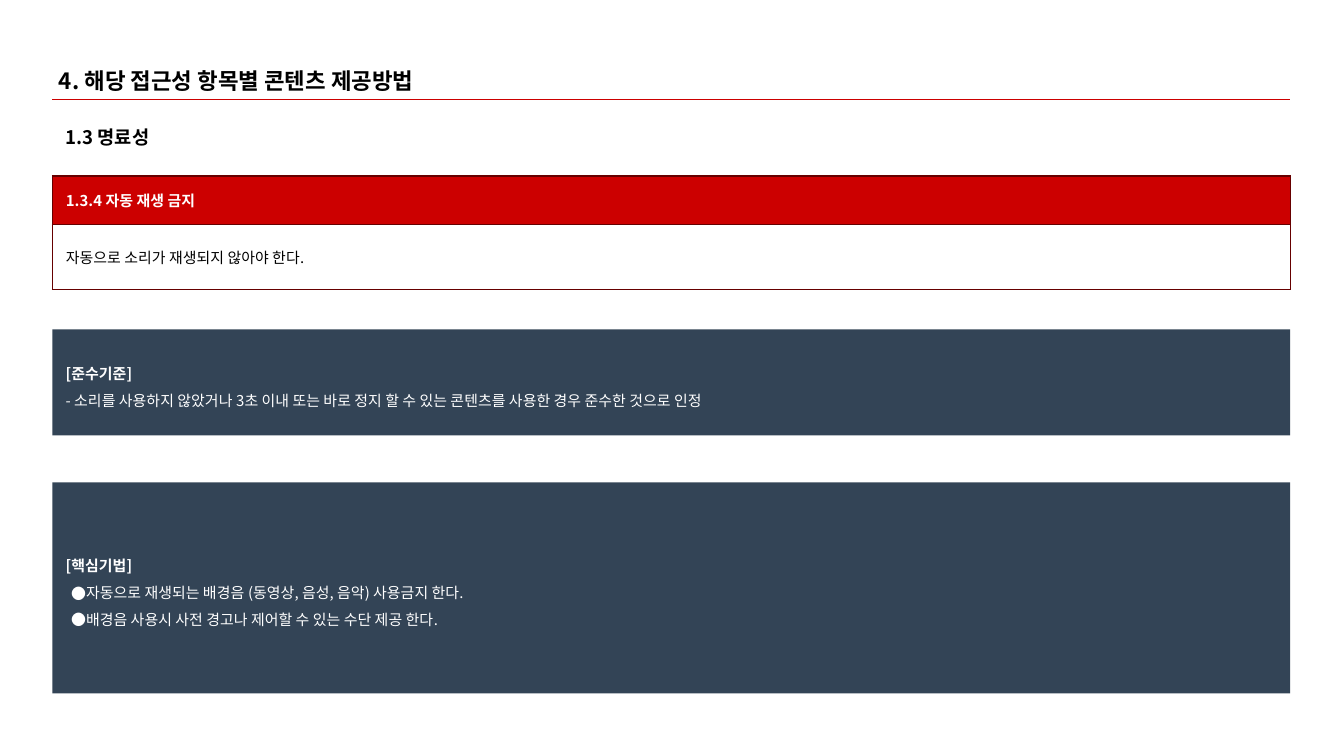
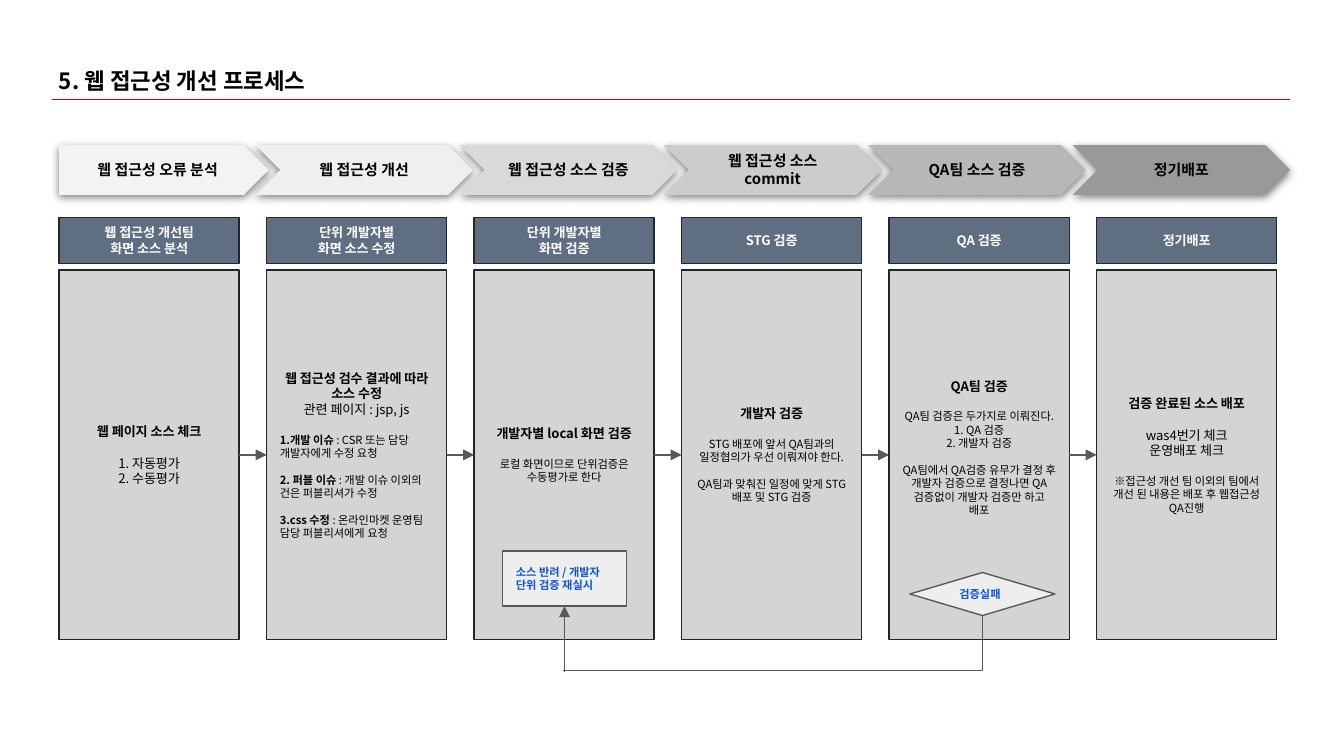
from dataclasses import dataclass

from lxml import etree
from pptx import Presentation
from pptx.dml.color import RGBColor
from pptx.enum.shapes import MSO_CONNECTOR, MSO_SHAPE
from pptx.enum.text import MSO_ANCHOR, MSO_AUTO_SIZE, PP_ALIGN
from pptx.oxml.ns import qn
from pptx.util import Inches, Pt

RECTANGLE, PENTAGON, CHEVRON = MSO_SHAPE.RECTANGLE, MSO_SHAPE.PENTAGON, MSO_SHAPE.CHEVRON
DECISION, PROCESS = MSO_SHAPE.FLOWCHART_DECISION, MSO_SHAPE.FLOWCHART_PROCESS
STRAIGHT, ELBOW = MSO_CONNECTOR.STRAIGHT, MSO_CONNECTOR.ELBOW
LEFT, CENTER = PP_ALIGN.LEFT, PP_ALIGN.CENTER
TOP, MIDDLE = MSO_ANCHOR.TOP, MSO_ANCHOR.MIDDLE
NO_AUTOFIT = MSO_AUTO_SIZE.NONE

FONT = "Noto Sans CJK KR"
BLACK, WHITE, RED, DARK_RED = "000000", "FFFFFF", "CC0000", "660000"
NAVY, SLATE, INK = "334456", "606E81", "21262D"
PANEL_GRAY, NOTE_GRAY, LINE_GRAY, BLUE = "D4D4D4", "EEEEEE", "595959", "1155CC"

MARGIN, CONTENT_WIDTH = 0.39, 9.21
INSET, LINE_WIDTH = Inches(0.1), Pt(0.75)
GAP, SMALL_GAP = 8.5, 7
COLUMN_LEFT, COLUMN_RIGHT, COLUMN_WIDTH = 0.44, 8.16, 1.34
STEP_PITCH, STEP_WIDTH, LAST_STEP_LEFT = 1.52, 1.62, 7.98


@dataclass(frozen=True)
class Box:
    left: float
    top: float
    width: float
    height: float

    def lengths(self):
        return [Inches(value) for value in (self.left, self.top, self.width, self.height)]


@dataclass(frozen=True)
class Line:
    text: str
    bold: bool = False
    lead: str = ""
    size: float | None = None
    before: float = 0
    align: PP_ALIGN | None = None
    bullet: bool = False


@dataclass(frozen=True)
class Stage:
    step: str
    fill: str
    owner: list[str]
    details: list[Line]
    bottom_inset: float = 0.1


def issue(lead: str, text: str, before: float = SMALL_GAP) -> Line:
    return Line(text, lead=lead, size=6, before=before, align=LEFT)


STAGES = [
    Stage("웹 접근성 오류 분석", "F3F3F3", ["웹 접근성 개선팀", "화면 소스 분석"], [
        Line("웹 페이지 소스 체크", bold=True),
        Line("1. 자동평가", before=GAP),
        Line("2. 수동평가")]),
    Stage("웹 접근성 개선", "EFEFEF", ["단위 개발자별", "화면 소스 수정"], [
        Line("웹 접근성 검수 결과에 따라 소스 수정", bold=True),
        Line("관련 페이지 : jsp, js"),
        issue("1.개발 이슈", " : CSR 또는 담당 개발자에게 수정 요청", GAP),
        issue("2. 퍼블 이슈", " : 개발 이슈 이외의 건은 퍼블리셔가 수정"),
        issue("3.css 수정", " : 온라인마켓 운영팀 담당 퍼블리셔에게 요청")]),
    Stage("웹 접근성 소스 검증", "D9D9D9", ["단위 개발자별", "화면 검증"], [
        Line("개발자별 local 화면 검증", bold=True),
        Line("로컬 화면이므로 단위검증은 수동평가로 한다", size=6, before=GAP)]),
    Stage("웹 접근성 소스 commit", "CCCCCC", ["STG 검증"], [
        Line("개발자 검증", bold=True),
        Line("STG 배포에 앞서 QA팀과의 일정협의가 우선 이뤄져야 한다.", size=6, before=GAP),
        Line("QA팀과 맞춰진 일정에 맞게 STG 배포 및 STG 검증", size=6, before=SMALL_GAP)]),
    Stage("QA팀 소스 검증", "B7B7B7", ["QA 검증"], [
        Line("QA팀 검증", bold=True),
        Line("QA팀 검증은 두가지로 이뤄진다.", size=6, before=GAP),
        Line("1. QA 검증", size=6),
        Line("2. 개발자 검증", size=6),
        Line("QA팀에서 QA검증 유무가 결정 후 개발자 검증으로 결정나면 "
             "QA검증없이 개발자 검증만 하고 배포", size=6, before=SMALL_GAP)], 0.21),
    Stage("정기배포", "999999", ["정기배포"], [
        Line("검증 완료된 소스 배포", bold=True),
        Line("was4번기 체크", before=GAP),
        Line("운영배포 체크"),
        Line("※접근성 개선 팀 이외의 팀에서 개선 된 내용은 배포 후 웹접근성 QA진행",
             size=6, before=GAP)]),
]
COLUMN_PITCH = (COLUMN_RIGHT - COLUMN_LEFT) / (len(STAGES) - 1)


def color(value: str) -> RGBColor:
    return RGBColor.from_string(value)


def add_run(paragraph, text: str, size: float, bold: bool, text_color: str) -> None:
    run = paragraph.add_run()
    run.text = text
    run.font.size = Pt(size)
    run.font.bold = bold
    run.font.color.rgb = color(text_color)
    run.font.name = FONT
    properties = run.font._element
    properties.set("kern", "0")
    etree.SubElement(properties, qn("a:ea")).set("typeface", FONT)


def add_bullet(paragraph, bullet_color: str) -> None:
    properties = paragraph._p.get_or_add_pPr()
    properties.set("marL", str(Inches(0.15)))
    properties.set("indent", str(Inches(-0.11)))
    shade = etree.SubElement(properties, qn("a:buClr"))
    etree.SubElement(shade, qn("a:srgbClr"), val=bullet_color)
    etree.SubElement(properties, qn("a:buFont"), typeface=FONT)
    etree.SubElement(properties, qn("a:buChar"), char="●")


def write_text(frame, lines: list[Line], *, size: float, text_color: str = BLACK,
               align: PP_ALIGN = LEFT, spacing: float = 1.0) -> None:
    for index, line in enumerate(lines):
        paragraph = frame.paragraphs[0] if index == 0 else frame.add_paragraph()
        if line.bullet:
            add_bullet(paragraph, text_color)
        paragraph.alignment = align if line.align is None else line.align
        paragraph.line_spacing = spacing
        if line.before:
            paragraph.space_before = Pt(line.before)
        if line.lead:
            add_run(paragraph, line.lead, line.size or size, True, text_color)
        add_run(paragraph, line.text, line.size or size, line.bold, text_color)


def prepare_frame(frame, anchor: MSO_ANCHOR, bottom_inset: float = 0.1) -> None:
    frame.word_wrap = True
    frame.auto_size = NO_AUTOFIT
    frame.vertical_anchor = anchor
    frame.margin_left = frame.margin_right = frame.margin_top = INSET
    frame.margin_bottom = Inches(bottom_inset)


def add_label(slide, box: Box, text: str, size: float) -> None:
    frame = slide.shapes.add_textbox(*box.lengths()).text_frame
    prepare_frame(frame, TOP)
    write_text(frame, [Line(text, bold=True)], size=size)


def add_block(slide, kind: MSO_SHAPE, box: Box, fill: str, lines: list[Line], *,
              outline: str | None = None, bottom_inset: float = 0.1, **text_format):
    shape = slide.shapes.add_shape(kind, *box.lengths())
    shape.shadow.inherit = False
    shape.fill.solid()
    shape.fill.fore_color.rgb = color(fill)
    if outline:
        shape.line.color.rgb = color(outline)
        shape.line.width = LINE_WIDTH
    else:
        shape.line.fill.background()
    prepare_frame(shape.text_frame, MIDDLE, bottom_inset)
    write_text(shape.text_frame, lines, **text_format)
    return shape


def add_shadow(shape) -> None:
    effects = shape._element.spPr.find(qn("a:effectLst"))
    shadow = etree.SubElement(effects, qn("a:outerShdw"), blurRad=str(Pt(4.5)),
                              dist=str(Pt(1.5)), dir="5400000", algn="bl", rotWithShape="0")
    shade = etree.SubElement(shadow, qn("a:srgbClr"), val=BLACK)
    etree.SubElement(shade, qn("a:alpha"), val="50000")


def add_line(slide, start: tuple[float, float], end: tuple[float, float], line_color: str, *,
             kind: MSO_CONNECTOR = STRAIGHT, arrow: bool = False):
    ends = [Inches(value) for value in (*start, *end)]
    connector = slide.shapes.add_connector(kind, *ends)
    connector.line.color.rgb = color(line_color)
    connector.line.width = LINE_WIDTH
    element = connector._element
    if arrow:
        etree.SubElement(element.spPr.find(qn("a:ln")), qn("a:tailEnd"), type="triangle")
    etree.SubElement(element.spPr, qn("a:effectLst"))
    element.remove(element.find(qn("p:style")))
    return connector


def add_titled_slide(presentation, title: str):
    slide = presentation.slides.add_slide(presentation.slide_layouts[6])
    add_label(slide, Box(0.34, 0.4, 9.32, 0.37), title, 12)
    add_line(slide, (MARGIN, 0.74), (MARGIN + CONTENT_WIDTH, 0.74), RED)
    return slide


def set_borders(cell, border_color: str) -> None:
    for side in ("lnL", "lnR", "lnT", "lnB"):
        border = etree.SubElement(cell._tc.get_or_add_tcPr(), qn(f"a:{side}"), w=str(LINE_WIDTH))
        fill = etree.SubElement(border, qn("a:solidFill"))
        etree.SubElement(fill, qn("a:srgbClr"), val=border_color)


def add_rule_table(slide, heading: str, rule: str) -> None:
    rows = [(0.31, Line(heading, bold=True), WHITE, RED), (0.48, Line(rule), BLACK, None)]
    box = Box(MARGIN, 1.31, CONTENT_WIDTH, 0.79)
    table = slide.shapes.add_table(len(rows), 1, *box.lengths()).table
    table.first_row = table.horz_banding = False
    for index, (height, line, text_color, fill) in enumerate(rows):
        table.rows[index].height = Inches(height)
        cell = table.cell(index, 0)
        cell.margin_left = cell.margin_right = cell.margin_top = cell.margin_bottom = INSET
        cell.vertical_anchor = MIDDLE
        set_borders(cell, DARK_RED)
        if fill:
            cell.fill.solid()
            cell.fill.fore_color.rgb = color(fill)
        else:
            cell.fill.background()
        write_text(cell.text_frame, [line], size=8, text_color=text_color)


def build_guideline_slide(presentation) -> None:
    slide = add_titled_slide(presentation, "4. 해당 접근성 항목별 콘텐츠 제공방법")
    add_label(slide, Box(MARGIN, 0.84, CONTENT_WIDTH, 0.27), "1.3 명료성", 10)
    criteria = [Line("[준수기준]", bold=True),
                Line("- 소리를 사용하지 않았거나 3초 이내 또는 바로 정지 할 수 있는 "
                     "콘텐츠를 사용한 경우 준수한 것으로 인정")]
    techniques = [Line("[핵심기법]", bold=True),
                  Line("자동으로 재생되는 배경음 (동영상, 음성, 음악) 사용금지 한다.", bullet=True),
                  Line("배경음 사용시 사전 경고나 제어할 수 있는 수단 제공 한다.", bullet=True)]
    for top, height, lines in ((2.45, 0.79, criteria), (3.59, 1.57, techniques)):
        add_block(slide, RECTANGLE, Box(MARGIN, top, CONTENT_WIDTH, height), NAVY, lines,
                  size=8, text_color=WHITE, spacing=1.5)
    add_rule_table(slide, "1.3.4 자동 재생 금지", "자동으로 소리가 재생되지 않아야 한다.")


def add_step(slide, index: int, stage: Stage) -> None:
    kind, left, width = PENTAGON, COLUMN_LEFT, 1.56
    if index > 0:
        kind, width = CHEVRON, STEP_WIDTH
        left = LAST_STEP_LEFT - STEP_PITCH * (len(STAGES) - 1 - index)
    add_shadow(add_block(slide, kind, Box(left, 1.08, width, 0.37), stage.fill,
                         [Line(stage.step, bold=True)], size=8, align=CENTER))


def add_column(slide, index: int, stage: Stage):
    left = COLUMN_LEFT + COLUMN_PITCH * index
    column_format = {"outline": INK, "size": 7, "align": CENTER}
    add_block(slide, RECTANGLE, Box(left, 1.62, COLUMN_WIDTH, 0.34), SLATE,
              [Line(text, bold=True) for text in stage.owner], text_color=WHITE, **column_format)
    return add_block(slide, RECTANGLE, Box(left, 2.01, COLUMN_WIDTH, 2.75), PANEL_GRAY,
                     stage.details, bottom_inset=stage.bottom_inset, **column_format)


def add_return_loop(slide) -> None:
    note_format = {"outline": LINE_GRAY, "size": 6, "text_color": BLUE}
    add_block(slide, DECISION, Box(6.77, 4.26, 1.08, 0.32), NOTE_GRAY,
              [Line("검증실패", bold=True)], **note_format)
    rise = add_line(slide, (4.2, 5), (4.2, 4.51), LINE_GRAY, arrow=True)
    elbow = add_line(slide, (4.19, 4.99), (7.31, 4.58), LINE_GRAY, kind=ELBOW)
    elbow._element.spPr.find(qn("a:prstGeom")).set("prst", "bentConnector2")
    retry = add_block(slide, PROCESS, Box(3.74, 4.1, 0.92, 0.41), NOTE_GRAY,
                      [Line("소스 반려 / 개발자 단위 검증 재실시", bold=True)], **note_format)
    rise.end_connect(retry, 2)


def build_process_slide(presentation) -> None:
    slide = add_titled_slide(presentation, "5. 웹 접근성 개선 프로세스")
    for index, stage in enumerate(STAGES):
        add_step(slide, index, stage)
    panels = [add_column(slide, index, stage) for index, stage in enumerate(STAGES)]
    for before, after in zip(panels, panels[1:]):
        arrow = add_line(slide, (0, 0), (1, 0), LINE_GRAY, arrow=True)
        arrow.begin_connect(before, 3)
        arrow.end_connect(after, 1)
    add_return_loop(slide)


def main() -> None:
    presentation = Presentation()
    presentation.slide_width = Inches(10)
    presentation.slide_height = Inches(10 * 9 / 16)
    build_guideline_slide(presentation)
    build_process_slide(presentation)
    presentation.save("out.pptx")


if __name__ == "__main__":
    main()
